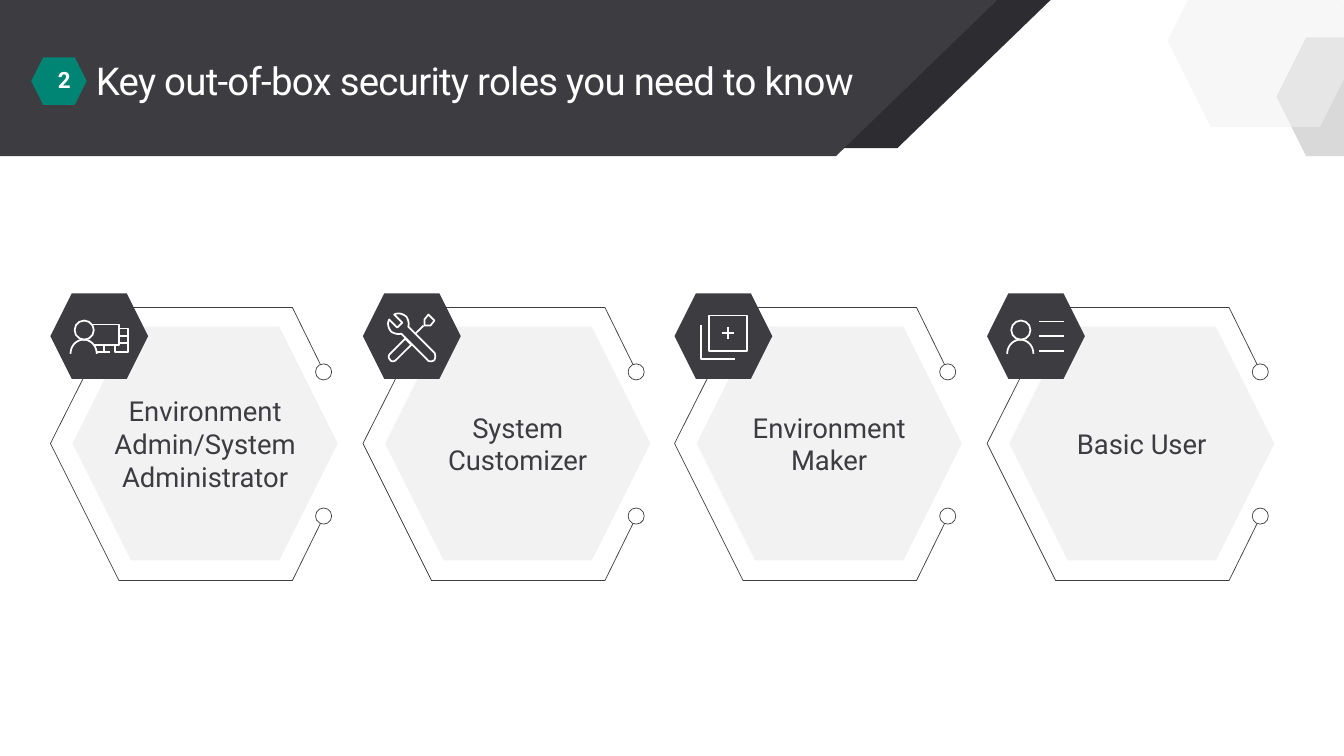
"""Build the slide on out-of-box security roles."""
from lxml import etree
from pptx import Presentation
from pptx import util as u
from pptx.dml.color import RGBColor
from pptx.enum import shapes, text
from pptx.oxml.ns import qn

CHARCOAL = RGBColor(0x3C, 0x3C, 0x41)
SHADE = RGBColor(0x2D, 0x2D, 0x31)
TEAL = RGBColor(0x00, 0x85, 0x75)
WHITE = RGBColor(0xFF, 0xFF, 0xFF)
PALE = RGBColor(0xF2, 0xF2, 0xF2)
SILVER = RGBColor(0xD9, 0xD9, 0xD9)
HEXAGON = shapes.MSO_SHAPE.HEXAGON
OVAL = shapes.MSO_SHAPE.OVAL
RECTANGLE = shapes.MSO_SHAPE.RECTANGLE
THIN, ICON = 0.5, 1.25
CARD_LEFT, CARD_PITCH = 50, 309.67
FRAME = [(268, 519), (240, 576), (68, 576), (0, 440), (68, 305), (240, 305), (268, 362)]
SHOULDERS = [(46, 351), (46, 343, 40, 337, 33, 337), (26, 337, 20, 343, 20, 351)]
HANDLE = [(27, 351), (25, 353, 25, 355, 27, 357), (28, 359, 31, 359, 33, 357),
          (48, 342), (42, 336), (27, 351)]
TIP = [(71, 318), (65, 312), (61, 317), (61, 323), (67, 323), (71, 318)]
WRENCH = [(43, 314), (39, 311, 35, 310, 31, 312), (39, 320), (34, 325), (26, 317),
          (24, 321, 25, 325, 28, 329), (31, 331, 35, 332, 38, 331), (64, 357),
          (65, 359, 69, 359, 71, 357), (72, 355, 72, 352, 71, 350), (45, 324),
          (46, 321, 45, 317, 43, 314)]


def px(length):
    return u.Emu(round(length * 9144))


def flatten(segments, steps=10):
    points = [segments[0]]
    for segment in segments[1:]:
        if len(segment) == 2:
            points.append(segment)
            continue
        controls = [points[-1], segment[:2], segment[2:4], segment[4:]]
        for step in range(1, steps + 1):
            t = step / steps
            weights = ((1 - t) ** 3, 3 * t * (1 - t) ** 2, 3 * t * t * (1 - t), t ** 3)
            points.append(tuple(sum(w * c[axis] for w, c in zip(weights, controls))
                                for axis in (0, 1)))
    return points


class Painter:
    def __init__(self, page, font):
        self.page = page
        self.font = font

    def style(self, shape, fill, line, weight):
        shape.shadow.inherit = False
        if fill is None:
            shape.fill.background()
        else:
            shape.fill.solid()
            shape.fill.fore_color.rgb = fill
        if line is None:
            shape.line.fill.background()
        else:
            shape.line.color.rgb = line
            shape.line.width = u.Pt(weight)
        return shape

    def shape(self, kind, left, top, width, height, fill=None, line=None, weight=THIN):
        shape = self.page.shapes.add_shape(kind, px(left), px(top), px(width), px(height))
        return self.style(shape, fill, line, weight)

    def outline(self, segments, left=0, fill=None, line=None, weight=ICON):
        points = [(px(left + x), px(y)) for x, y in flatten(segments)]
        builder = self.page.shapes.build_freeform(*points[0], scale=1.0)
        closed = points[0] == points[-1]
        builder.add_line_segments(points[1:-1] if closed else points[1:], close=closed)
        return self.style(builder.convert_to_shape(), fill, line, weight)

    def stroke(self, left, x1, y1, x2, y2):
        line = self.page.shapes.add_connector(
            shapes.MSO_CONNECTOR.STRAIGHT, px(left + x1), px(y1), px(left + x2), px(y2))
        line.line.color.rgb = WHITE
        line.line.width = u.Pt(ICON)
        etree.SubElement(line.element.spPr, qn("a:effectLst"))

    def label(self, box, words, size, color, side=0, edge=0, align=text.PP_ALIGN.CENTER,
              anchor=text.MSO_ANCHOR.MIDDLE, spacing=None, bold=False, wrap=True):
        frame = box.text_frame
        frame.word_wrap = wrap
        frame.vertical_anchor = anchor
        frame.margin_left = frame.margin_right = px(side)
        frame.margin_top = frame.margin_bottom = px(edge)
        para = frame.paragraphs[0]
        para.text = words
        para.alignment = align
        para.line_spacing = spacing
        for span in para.runs:
            span.font.name = self.font
            span.font.size = u.Pt(size)
            span.font.bold = bold
            span.font.color.rgb = color

    def title(self, words):
        box = self.page.shapes.title
        box.left, box.top, box.width, box.height = px(95), px(59), px(1236), px(44)
        self.label(box, words, 27.4, WHITE, align=text.PP_ALIGN.LEFT,
                   anchor=text.MSO_ANCHOR.TOP, spacing=u.Pt(31.4))
        box.text_frame.auto_size = text.MSO_AUTO_SIZE.SHAPE_TO_FIT_TEXT
        for props in box.element.iter(qn("a:rPr")):
            props.set("spc", "-50")
        box.element.getparent().append(box.element)

    def card(self, left, role, wrap, icon):
        self.outline(FRAME, left, line=CHARCOAL, weight=THIN)
        body = self.shape(HEXAGON, left + 22, 324, 263, 232, PALE)
        self.label(body, role, 19.6, CHARCOAL, side=10, edge=16, wrap=wrap)
        for top in (361, 504):
            self.shape(OVAL, left + 263, top, 16, 16, WHITE, CHARCOAL)
        self.shape(HEXAGON, left, 291, 97, 85, CHARCOAL)
        icon(left)

    def person(self, left):
        self.shape(OVAL, left + 24, 318, 19, 19, line=WHITE, weight=ICON)
        self.outline(SHOULDERS, left, line=WHITE)

    def admin_icon(self, left):
        self.person(left)
        self.outline([(43, 342), (68, 342), (68, 322), (42, 322)], left, line=WHITE)
        self.outline([(68, 326), (77, 326), (77, 349), (64, 349), (64, 342)], left, line=WHITE)
        for ends in ((53, 342, 53, 349), (46, 349, 59, 349), (68, 333, 77, 333), (68, 340, 77, 340)):
            self.stroke(left, *ends)

    def tools_icon(self, left):
        self.stroke(left, 60, 323, 52, 331)
        for part in (HANDLE, TIP, WRENCH):
            self.outline(part, left, CHARCOAL, WHITE)

    def maker_icon(self, left):
        self.shape(RECTANGLE, left + 34, 313, 38, 35, line=WHITE, weight=ICON)
        self.outline([(26, 322), (26, 356), (60, 356)], left, line=WHITE)
        self.stroke(left, 53, 324, 53, 336)
        self.stroke(left, 47, 330, 59, 330)

    def user_icon(self, left):
        self.person(left)
        for y in (319, 333, 348):
            self.stroke(left, 52, y, 76, y)


def main():
    deck = Presentation()
    deck.slide_width, deck.slide_height = px(1333), px(750)
    painter = Painter(deck.slides.add_slide(deck.slide_layouts[5]), "Roboto")

    painter.shape(HEXAGON, 1266, 37, 134, 118, SILVER)
    veil = painter.shape(HEXAGON, 1158, -45, 194, 171, PALE)
    tint = next(veil.element.spPr.iter(qn("a:srgbClr")))
    etree.SubElement(tint, qn("a:alpha")).set("val", "54000")

    cards = [
        ("Environment\nAdmin/System\nAdministrator", False, painter.admin_icon),
        ("System Customizer", True, painter.tools_icon),
        ("Environment Maker", True, painter.maker_icon),
        ("Basic User", True, painter.user_icon),
    ]
    for index, card in enumerate(cards):
        painter.card(round(CARD_LEFT + index * CARD_PITCH), *card)

    for top_right, bottom_right, height, fill in ((1042, 890, 147, SHADE), (989, 829, 155, CHARCOAL)):
        painter.outline([(0, 0), (top_right, 0), (bottom_right, height), (0, height), (0, 0)], fill=fill)
    badge = painter.shape(HEXAGON, 31, 57, 55, 47, TEAL)
    painter.label(badge, "2", 16, WHITE, side=20, edge=16, spacing=0.9, bold=True)
    painter.title("Key out-of-box security roles you need to know")
    deck.save("out.pptx")


if __name__ == "__main__":
    main()
